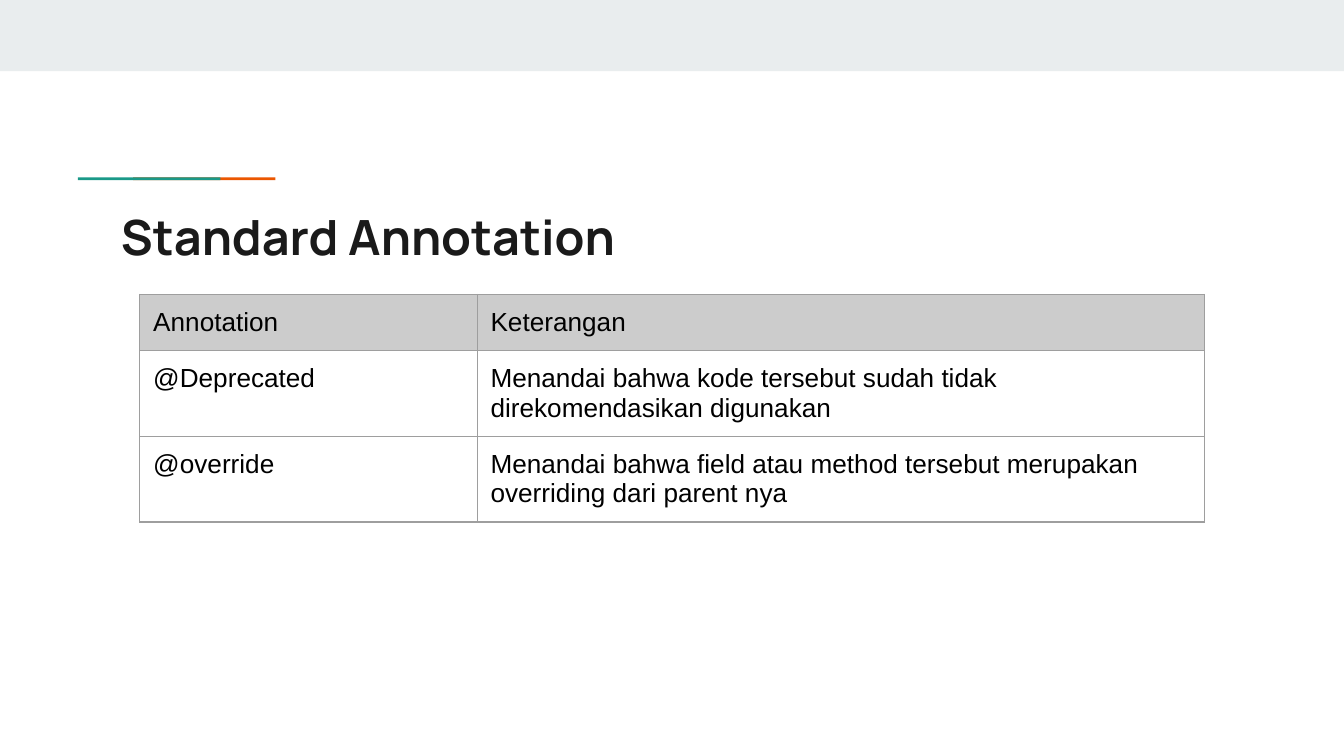
from pptx import Presentation
from pptx.dml.color import RGBColor
from pptx.enum.shapes import MSO_SHAPE
from pptx.enum.text import MSO_ANCHOR, MSO_AUTO_SIZE, PP_ALIGN
from pptx.oxml import parse_xml
from pptx.oxml.ns import nsdecls
from pptx.util import Inches, Pt

# Content
TITLE = "Standard Annotation"
ANNOTATIONS = [
    ("Annotation", "Keterangan"),
    ("@Deprecated", "Menandai bahwa kode tersebut sudah tidak direkomendasikan digunakan"),
    ("@override", "Menandai bahwa field atau method tersebut merupakan overriding dari parent nya"),
]

# Layout and formats
SLIDE_WIDTH = Inches(10)
SLIDE_HEIGHT = SLIDE_WIDTH * 9 // 16
BARS = [  # left, top, width, height, colour
    (0, 0, 10, 0.53, "E9EDEE"),
    (0.99, 1.32, 1.06, 0.02, "EB5600"),
    (0.58, 1.32, 1.06, 0.02, "1A9988"),
]
TITLE_BOX = (0.8, 1.44, 8.41, 0.59)
TABLE_LEFT, TABLE_TOP = 1.04, 2.19
COLUMN_WIDTHS = (2.51, 5.41)
ROW_HEIGHT = 0.42  # rows grow to fit wrapped text
HEADER_FILL, BORDER = "CCCCCC", "9E9E9E"
TITLE_FONT = {"name": "Manrope", "size": Pt(26), "bold": True}
CELL_FONT = {"name": "Arial", "size": Pt(14), "bold": False}
MARGINS = {f"margin_{side}": Inches(0.1) for side in ("left", "right", "top", "bottom")}


def rgb(colour):
    return RGBColor.from_string(colour)


def apply(target, formats):
    for name, value in formats.items():
        setattr(target, name, value)


def style_font(font, formats, colour):
    apply(font, formats)
    font.color.rgb = rgb(colour)


def add_borders(cell):
    properties = cell._tc.get_or_add_tcPr()
    for index, side in enumerate(("lnL", "lnR", "lnT", "lnB")):
        properties.insert(index, parse_xml(
            f'<a:{side} {nsdecls("a")} w="{Pt(0.75)}"><a:solidFill>'
            f'<a:srgbClr val="{BORDER}"/></a:solidFill></a:{side}>'))


presentation = Presentation()
apply(presentation, {"slide_width": SLIDE_WIDTH, "slide_height": SLIDE_HEIGHT})
slide = presentation.slides.add_slide(presentation.slide_layouts[5])

# Top band and accent line
for *box, colour in BARS:
    bar = slide.shapes.add_shape(MSO_SHAPE.RECTANGLE, *map(Inches, box))
    bar.shadow.inherit = False
    bar.fill.solid()
    bar.fill.fore_color.rgb = rgb(colour)
    bar.line.fill.background()

# Title
title = slide.shapes.title
apply(title, dict(zip(("left", "top", "width", "height"), map(Inches, TITLE_BOX))))
frame = title.text_frame
frame.text = TITLE
apply(frame, {**MARGINS, "word_wrap": True, "auto_size": MSO_AUTO_SIZE.NONE,
              "vertical_anchor": MSO_ANCHOR.TOP})
frame.paragraphs[0].alignment = PP_ALIGN.LEFT
style_font(frame.paragraphs[0].runs[0].font, TITLE_FONT, "1A1A1A")

# Annotation table
table = slide.shapes.add_table(
    len(ANNOTATIONS), len(COLUMN_WIDTHS), Inches(TABLE_LEFT), Inches(TABLE_TOP),
    Inches(sum(COLUMN_WIDTHS)), Inches(ROW_HEIGHT * len(ANNOTATIONS))).table
table.horz_banding = False
for column, width in zip(table.columns, COLUMN_WIDTHS):
    column.width = Inches(width)
for row_index, (row, wordings) in enumerate(zip(table.rows, ANNOTATIONS)):
    row.height = Inches(ROW_HEIGHT)
    for cell, wording in zip(row.cells, wordings):
        cell.text = wording
        apply(cell, {**MARGINS, "vertical_anchor": MSO_ANCHOR.TOP})
        style_font(cell.text_frame.paragraphs[0].runs[0].font, CELL_FONT, "000000")
        if row_index == 0:
            cell.fill.solid()
            cell.fill.fore_color.rgb = rgb(HEADER_FILL)
        else:
            cell.fill.background()
        add_borders(cell)

presentation.save("out.pptx")
